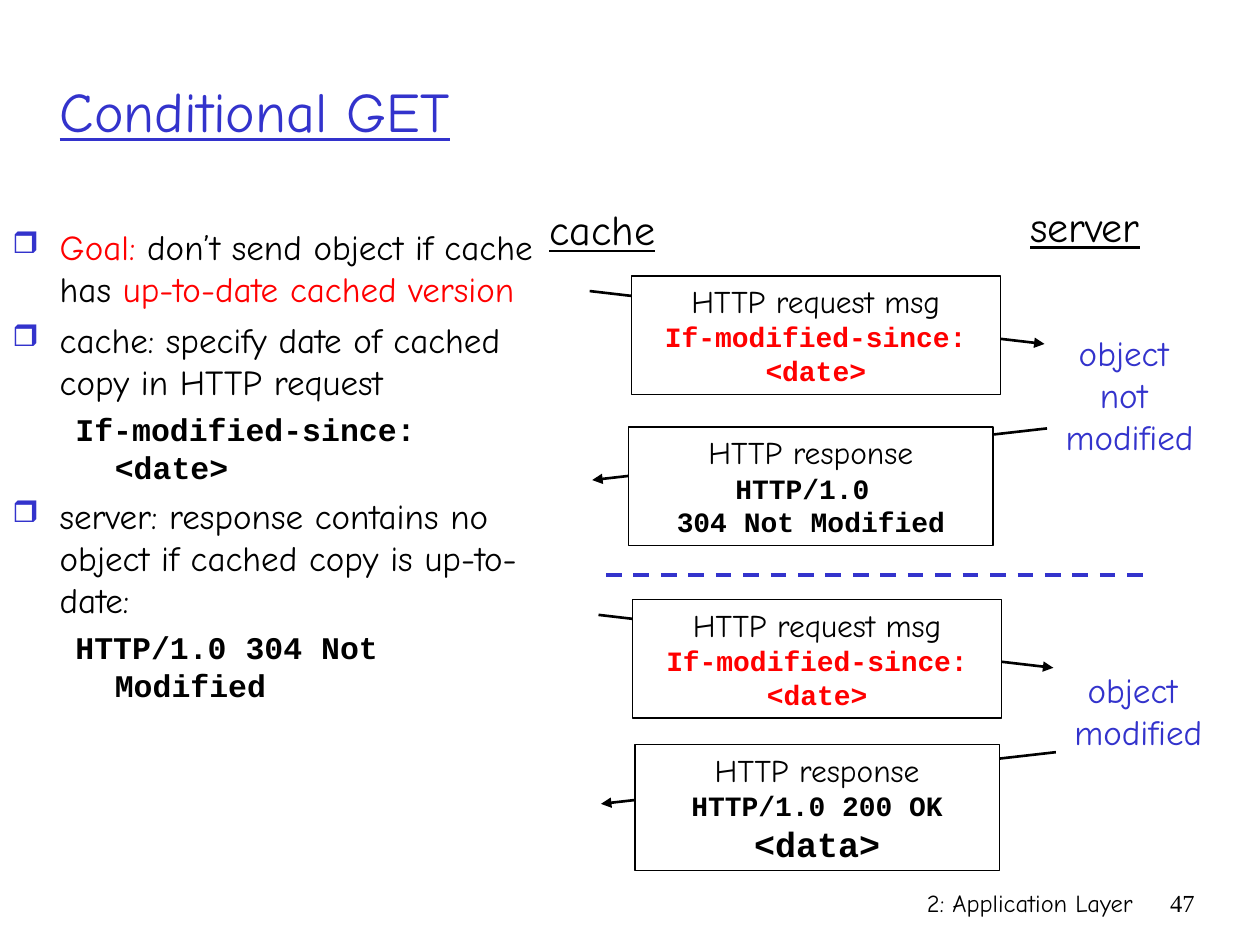
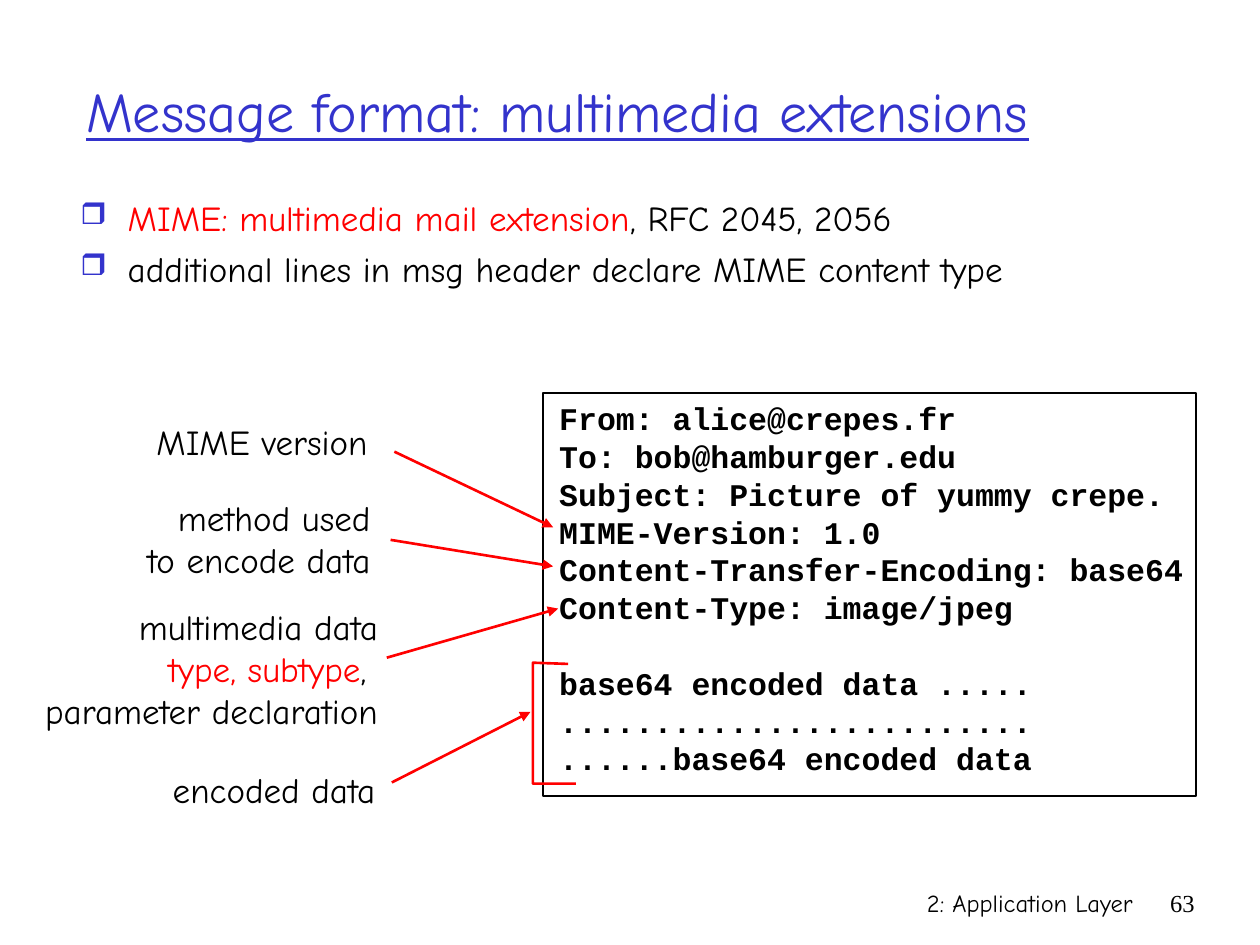
import pptx
import pptx.util
import pptx.dml.color
import pptx.enum.dml
import pptx.enum.shapes
import pptx.enum.text
import pptx.oxml
import pptx.oxml.ns
from lxml import etree

COLORS = {"ink": "000000", "paper": "FFFFFF", "accent": "3333CC", "alert": "FF0000"}
HAND, CODE, SERIF = "Comic Neue", "Courier New", "Times New Roman"
ALIGN = pptx.enum.text.PP_ALIGN
RECTANGLE = pptx.enum.shapes.MSO_SHAPE.RECTANGLE

# The slide is a grid of 100 columns by 75 rows
COLUMNS, ROWS = 100, 75
presentation = pptx.Presentation()
presentation.slide_width = pptx.util.Inches(10)
presentation.slide_height = pptx.util.Inches(7.5)


def across(columns):
    return round(presentation.slide_width * columns / COLUMNS)


def down(rows):
    return round(presentation.slide_height * rows / ROWS)


def grid(left, top, width, height):
    return across(left), down(top), across(width), down(height)


def rgb(name):
    return pptx.dml.color.RGBColor.from_string(COLORS[name])


# Text
def add_bullet(paragraph):
    properties = paragraph._p.get_or_add_pPr()
    color = etree.SubElement(properties, pptx.oxml.ns.qn("a:buClr"))
    etree.SubElement(color, pptx.oxml.ns.qn("a:srgbClr"), val=COLORS["accent"])
    etree.SubElement(properties, pptx.oxml.ns.qn("a:buSzPct"), val="85000")
    etree.SubElement(properties, pptx.oxml.ns.qn("a:buChar"), char="❒")


def write(frame, text, size=20, font=HAND, color="ink", bold=False, underline=False,
          align=ALIGN.LEFT, before=0, margin=0, indent=0, bullet=False):
    """Write one paragraph; text is a string or a list of (string, color) runs."""
    first = frame.paragraphs[0]
    paragraph = frame.add_paragraph() if first.runs else first
    if bullet:
        add_bullet(paragraph)
    properties = paragraph._p.get_or_add_pPr()
    properties.set("marL", str(across(margin)))
    properties.set("indent", str(across(indent)))
    paragraph.alignment = align
    paragraph.space_before = pptx.util.Pt(before if paragraph._p is not first._p else 0)
    for words, run_color in [(text, color)] if isinstance(text, str) else text:
        run = paragraph.add_run()
        run.text = words
        run.font.size = pptx.util.Pt(size)
        run.font.name = font
        run.font.bold = bold
        run.font.underline = underline
        run.font.color.rgb = rgb(run_color)


def set_frame(shape, wrap=True, grow=False):
    frame = shape.text_frame
    frame.word_wrap = wrap
    if grow:
        frame.auto_size = pptx.enum.text.MSO_AUTO_SIZE.SHAPE_TO_FIT_TEXT
    return frame


def add_text(slide, box, lines, wrap=True, grow=False, **style):
    frame = set_frame(slide.shapes.add_textbox(*grid(*box)), wrap, grow)
    for line in lines:
        write(frame, line, **style)
    return frame


def add_label(slide, box, lines, **style):
    add_text(slide, box, lines, wrap=False, grow=True, **style)


# Shapes and lines
def add_rectangle(slide, box, fill=None, weight=0.75):
    shape = slide.shapes.add_shape(RECTANGLE, *grid(*box))
    shape.shadow.inherit = False
    if fill:
        shape.fill.solid()
        shape.fill.fore_color.rgb = rgb(fill)
    else:
        shape.fill.background()
    shape.line.color.rgb = rgb("ink")
    shape.line.width = pptx.util.Pt(weight)
    return shape


def add_line(slide, start, end, color="ink", weight=1.5, arrow=True, dashed=False):
    connector = slide.shapes.add_connector(
        pptx.enum.shapes.MSO_CONNECTOR.STRAIGHT,
        across(start[0]), down(start[1]), across(end[0]), down(end[1]))
    connector.line.color.rgb = rgb(color)
    connector.line.width = pptx.util.Pt(weight)
    if dashed:
        connector.line.dash_style = pptx.enum.dml.MSO_LINE.DASH
    properties = connector._element.spPr
    if arrow:
        etree.SubElement(properties.find(pptx.oxml.ns.qn("a:ln")),
                         pptx.oxml.ns.qn("a:tailEnd"), type="triangle")
    etree.SubElement(properties, pptx.oxml.ns.qn("a:effectLst"))


# Parts shared by the slides
def start_slide(title, title_box, number):
    slide = presentation.slides.add_slide(presentation.slide_layouts[6])
    add_text(slide, (59.2, 70, 31.7, 5), ["2: Application Layer"], size=14, align=ALIGN.RIGHT)
    add_text(slide, (90.8, 70, 5, 5), [number], size=14, font=SERIF, align=ALIGN.RIGHT)
    frame = add_text(slide, title_box, [title], size=32, color="accent", underline=True)
    frame.vertical_anchor = pptx.enum.text.MSO_ANCHOR.MIDDLE
    return slide


def add_body(slide, box, items):
    frame = set_frame(slide.shapes.add_textbox(*grid(*box)))
    for kind, text in items:
        if kind == "point":
            write(frame, text, before=5, margin=3.75, indent=-3.75, bullet=True)
        else:
            write(frame, text, size=18, font=CODE, bold=True, before=4.5,
                  margin=8.13, indent=-3.13)


# Conditional GET: one request and its response
def add_message(slide, box, heading, code_lines):
    frame = set_frame(add_rectangle(slide, box, "paper"), grow=True)
    frame.vertical_anchor = pptx.enum.text.MSO_ANCHOR.TOP
    write(frame, heading, size=18, align=ALIGN.CENTER)
    for text, size, color in code_lines:
        write(frame, text, size=size, font=CODE, color=color, bold=True, align=ALIGN.CENTER)


def add_exchange(slide, origin, request_left, response_box, response, label_box, outcome):
    left, top = origin

    def place(x, y, width, height):
        return left + x, top + y, width, height

    add_line(slide, (left, top + 1.2), (left + 36.1, top + 5.4))
    add_message(slide, place(request_left, 0, 29.3, 9.4), "HTTP request msg",
                [("If-modified-since: <date>", 16, "alert")])
    add_line(slide, (left + 36.3, top + 12.1), (left + 0.2, top + 16.2))
    add_message(slide, place(*response_box), "HTTP response", response)
    add_label(slide, place(*label_box), outcome, color="accent", align=ALIGN.CENTER)


def build_conditional_get():
    slide = start_slide("Conditional GET", (3.75, 2.5, 87.1, 12.5), "47")
    add_body(slide, (0, 17.4, 44.2, 47.1), [
        ("point", [("Goal:", "alert"), (" don’t send object if cache has ", "ink"),
                   ("up-to-date cached version", "alert")]),
        ("point", "cache: specify date of cached copy in HTTP request"),
        ("code", "If-modified-since: <date>"),
        ("point", "server: response contains no object if cached copy is up-to-date:"),
        ("code", "HTTP/1.0 304 Not Modified"),
    ])
    for name, box in (("cache", (42.3, 15.7, 11, 5)), ("server", (80.5, 15.4, 11.2, 5))):
        add_label(slide, box, [name], size=24, underline=True, align=ALIGN.CENTER)
    add_exchange(slide, (46.8, 21.9), 3.3, (3.1, 12, 28.9, 9.4),
                 [("HTTP/1.0 ", 16, "ink"), ("304 Not Modified", 16, "ink")],
                 (36.3, 3.9, 13.1, 11), ["object ", "not ", "modified"])
    add_line(slide, (48.1, 45.6), (90.8, 45.6), "accent", 2.25, arrow=False, dashed=True)
    add_exchange(slide, (47.5, 47.6), 2.7, (2.9, 11.5, 28.9, 10),
                 [("HTTP/1.0 200 OK", 16, "ink"), ("<data>", 20, "ink")],
                 (36.3, 5, 13.1, 7.7), ["object ", "modified"])


# Message format: the mail, its bracket and its notes
def add_mail(slide, box):
    left, top, width, height = box
    header = ["From: alice@crepes.fr", "To: bob@hamburger.edu",
              "Subject: Picture of yummy crepe.", "MIME-Version: 1.0",
              "Content-Transfer-Encoding: base64", "Content-Type: image/jpeg"]
    content = ["base64 encoded data .....", "." * 25, "......base64 encoded data"]
    style = {"size": 18, "font": CODE, "bold": True}
    frame = add_text(slide, (left + 0.3, top, width + 2.6, height), header, **style)
    write(frame, content[0], before=21.6, **style)
    for line in content[1:]:
        write(frame, line, **style)
    add_rectangle(slide, box, weight=1)


def add_bracket(slide, box):
    left, top, width, height = box
    points = [(left + 2.8, top + 0.1), (left, top), (left, top + height),
              (left + width, top + height)]
    corners = [(across(x), down(y)) for x, y in points]
    builder = slide.shapes.build_freeform(*corners[0])
    builder.add_line_segments(corners[1:], close=False)
    bracket = builder.convert_to_shape()
    bracket.shadow.inherit = False
    bracket.fill.background()
    bracket.line.color.rgb = rgb("alert")
    bracket.line.width = pptx.util.Pt(1.5)


def add_note(slide, box, lines, align, start, end):
    """Place a note; its arrow's ends are measured from the box's top right corner."""
    left, top, width, _ = box
    add_label(slide, box, lines, align=align)
    corner = left + width
    add_line(slide, (corner + start[0], top + start[1]),
             (corner + end[0], top + end[1]), "alert")


def build_message_format():
    slide = start_slide("Message format: multimedia extensions", (5.85, 2.5, 91.7, 12.5), "63")
    add_body(slide, (5.4, 15.1, 80.1, 50.8), [
        ("point", [("MIME: multimedia mail extension", "alert"), (", RFC 2045, 2056", "ink")]),
        ("point", "additional lines in msg header declare MIME content type"),
    ])
    add_mail(slide, (43.1, 31.2, 51.8, 32))
    add_note(slide, (11.4, 32.85, 18.8, 4.4), ["MIME version"], ALIGN.CENTER,
             (1.1, 3), (13.7, 9))
    add_note(slide, (10.5, 38.95, 19.9, 7.7), ["method used", "to encode data"], ALIGN.RIGHT,
             (0.6, 3.9), (13.5, 6))
    add_note(slide, (2.4, 47.6, 28.6, 11),
             ["multimedia data", [("type, subtype", "alert"), (", ", "ink")],
              "parameter declaration"], ALIGN.RIGHT, (-0.3, 4.6), (13.3, 0.7))
    add_note(slide, (12.7, 60.5, 18.1, 4.4), ["encoded data"], ALIGN.CENTER,
             (0.3, 1.6), (11.3, -4))
    add_bracket(slide, (42.3, 52.6, 3.4, 9.6))


def main():
    build_conditional_get()
    build_message_format()
    presentation.save("out.pptx")


if __name__ == "__main__":
    main()
